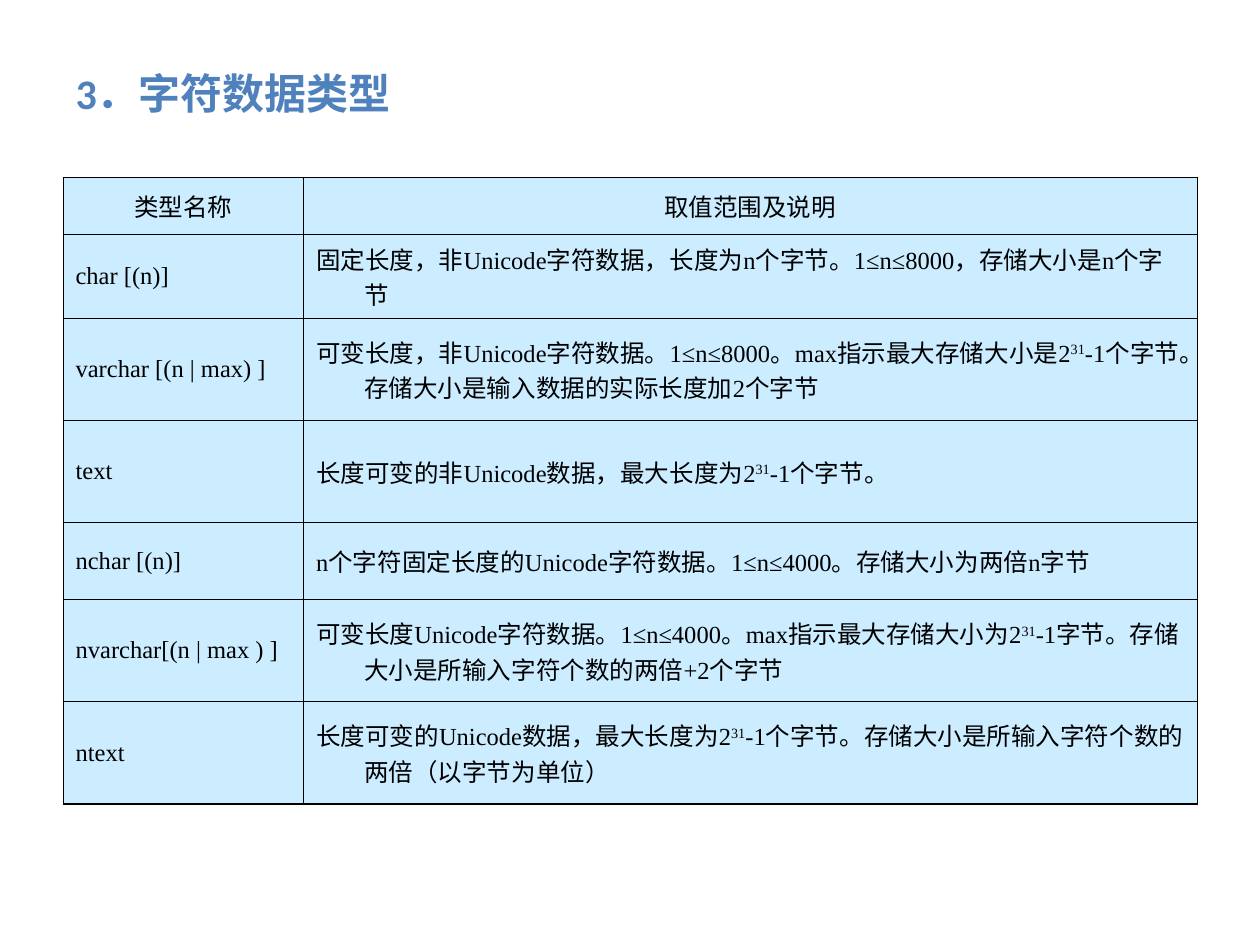
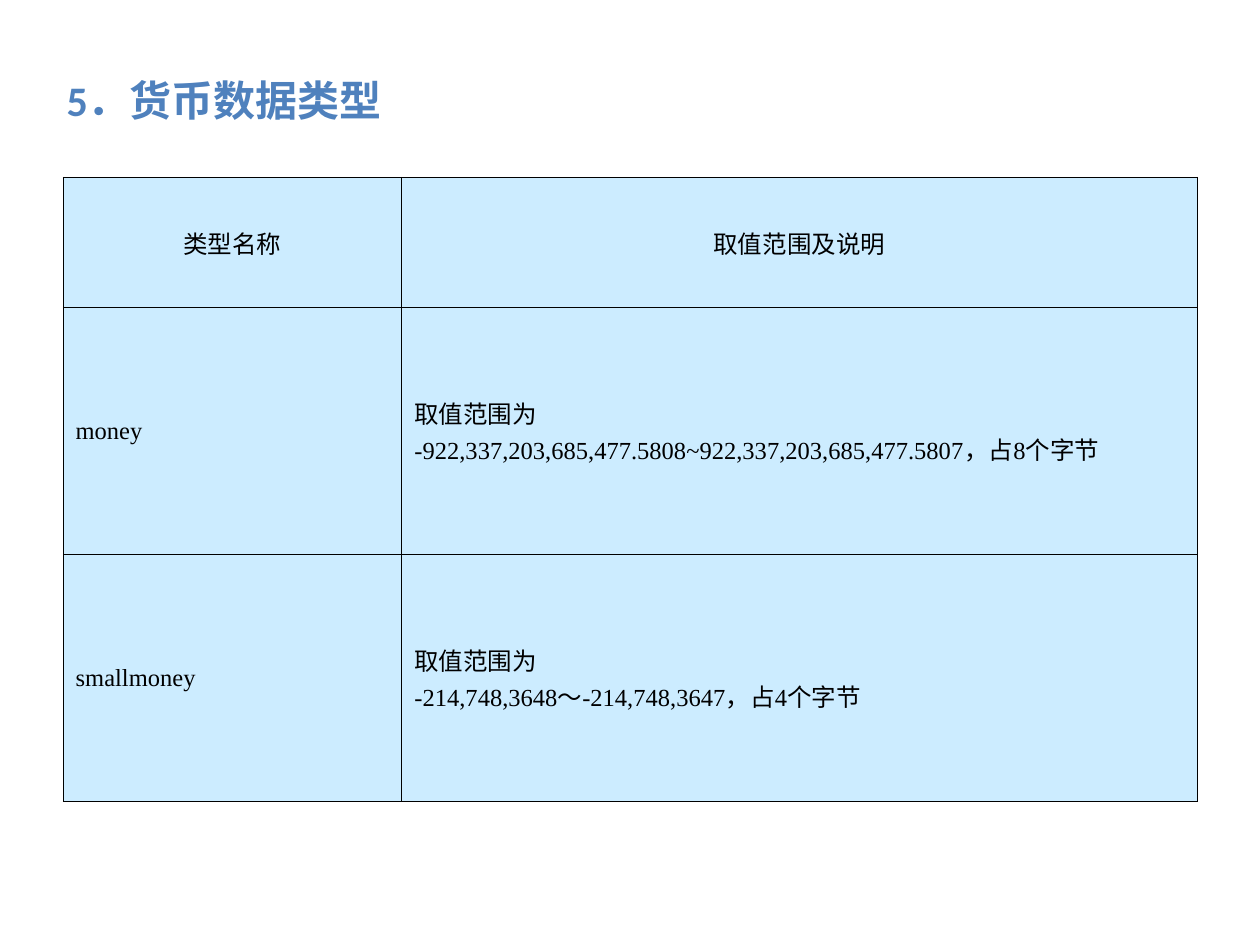
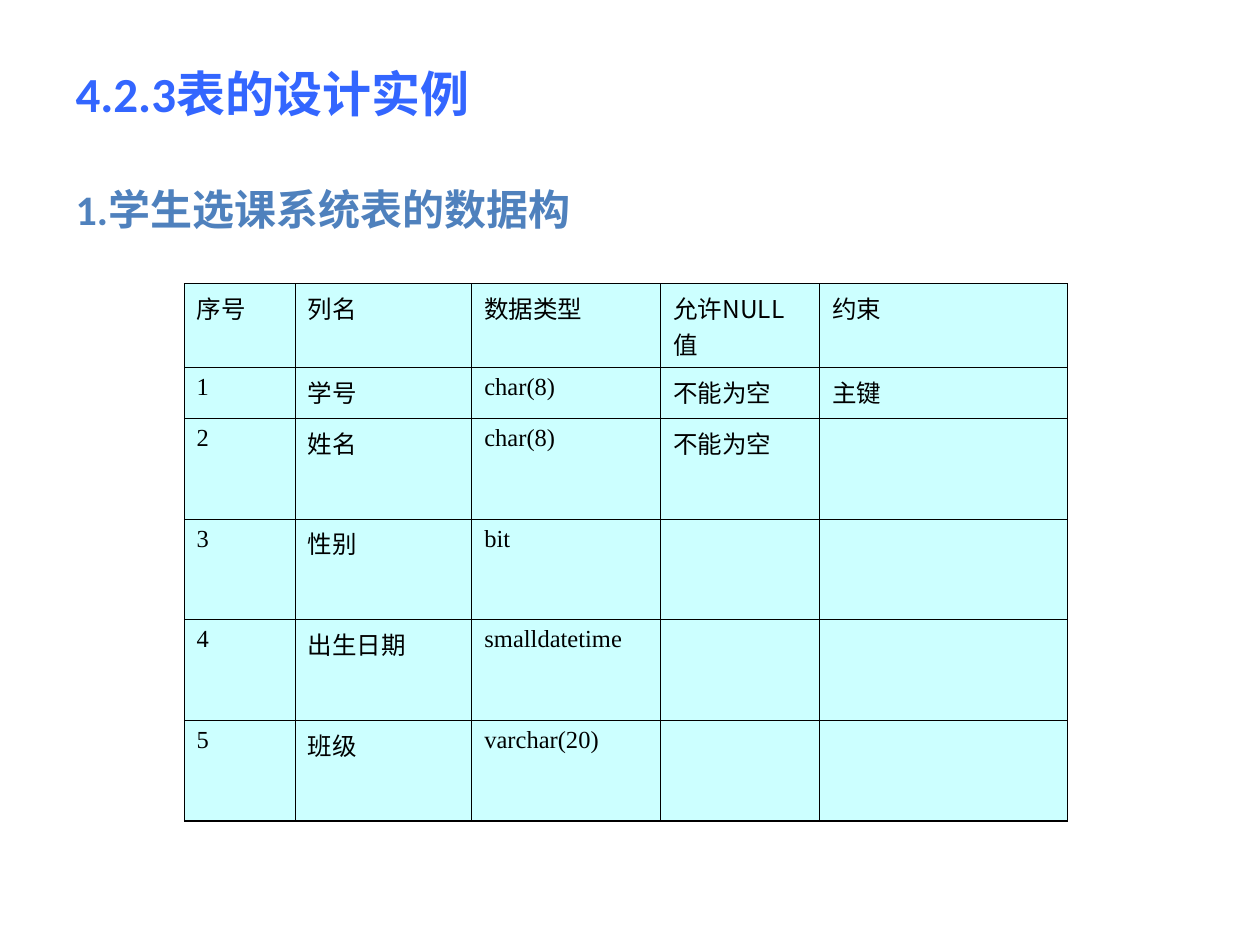
from lxml.etree import SubElement
from pptx import Presentation
from pptx.dml.color import RGBColor
from pptx.enum.text import MSO_ANCHOR, MSO_AUTO_SIZE, PP_ALIGN
from pptx.oxml.ns import qn
from pptx.util import Cm, Pt

BLACK = RGBColor(0x00, 0x00, 0x00)
STEEL = RGBColor(0x4F, 0x81, 0xBD)
ROYAL = RGBColor(0x33, 0x66, 0xFF)
SKY = RGBColor(0xCC, 0xEC, 0xFF)
CYAN = RGBColor(0xCC, 0xFF, 0xFF)

HEAD = "Calibri"
HAN = "Noto Sans CJK SC"
SERIF = "Times New Roman"
HANG = 0.97
LEFT = 1.27
TOP = 3.58
INNER, SIDE, EDGE = 0.45, 0.34, 0.96

NAMES = ("类型名称", "取值范围及说明")
CHARS = [
    NAMES,
    ("char [(n)]",
     "固定长度，非Unicode字符数据，长度为n个字节。1≤n≤8000，存储大小是n个字节"),
    ("varchar [(n | max) ]",
     "可变长度，非Unicode字符数据。1≤n≤8000。max指示最大存储大小是2^31^-1个字节。"
     "存储大小是输入数据的实际长度加2个字节"),
    ("text", "长度可变的非Unicode数据，最大长度为2^31^-1个字节。"),
    ("nchar [(n)]",
     "n个字符固定长度的Unicode字符数据。1≤n≤4000。存储大小为两倍n字节"),
    ("nvarchar[(n | max ) ]",
     "可变长度Unicode字符数据。1≤n≤4000。max指示最大存储大小为2^31^-1字节。"
     "存储大小是所输入字符个数的两倍+2个字节"),
    ("ntext",
     "长度可变的Unicode数据，最大长度为2^31^-1个字节。"
     "存储大小是所输入字符个数的两倍（以字节为单位）"),
]
MONEY = [
    NAMES,
    ("money",
     "取值范围为\n-922,337,203,685,477.5808~922,337,203,685,477.5807，占8个字节"),
    ("smallmoney", "取值范围为\n-214,748,3648～-214,748,3647，占4个字节"),
]
FIELDS = [
    ("序号", "列名", "数据类型", "允许NULL值", "约束"),
    ("1", "学号", "char(8)", "不能为空", "主键"),
    ("2", "姓名", "char(8)", "不能为空", ""),
    ("3", "性别", "bit", "", ""),
    ("4", "出生日期", "smalldatetime", "", ""),
    ("5", "班级", "varchar(20)", "", ""),
]


def write(frame, text, size=14, font=SERIF, color=BLACK, bold=False,
          align=PP_ALIGN.LEFT, hang=0):
    for pos, line in enumerate(text.split("\n")):
        para = frame.add_paragraph() if pos else frame.paragraphs[0]
        para.alignment = align
        para.space_before = Pt(0)
        props = para._p.get_or_add_pPr()
        props.set("marL", str(Cm(hang)))
        props.set("indent", str(-Cm(hang)))
        SubElement(props, qn("a:buNone"))
        for part, piece in enumerate(line.split("^")):
            run = para.add_run()
            run.text = piece
            run.font.size = Pt(size)
            run.font.bold = bold
            run.font.color.rgb = color
            run.font.name = font
            style = run._r.get_or_add_rPr()
            SubElement(style, qn("a:ea"), typeface=HAN)
            if part % 2:
                style.set("baseline", "30000")


def place(shape, left, top, width, height):
    shape.left, shape.top = Cm(left), Cm(top)
    shape.width, shape.height = Cm(width), Cm(height)
    shape.text_frame.auto_size = MSO_AUTO_SIZE.NONE


def add_page(deck, layout, title, left=LEFT, top=0.76, size=24, color=STEEL):
    page = deck.slides.add_slide(deck.slide_layouts.get_by_name(layout))
    shape = page.shapes.title
    place(shape, left, top, 22.86, 2.21)
    shape.text_frame.vertical_anchor = MSO_ANCHOR.MIDDLE
    write(shape.text_frame, title, size=size, font=HEAD, color=color, bold=True)
    return page


def add_rule(cell, side, width):
    line = SubElement(cell._tc.get_or_add_tcPr(), qn(f"a:ln{side}"),
                      w=str(Pt(width)))
    fill = SubElement(line, qn("a:solidFill"))
    SubElement(fill, qn("a:srgbClr"), val=str(BLACK))


def add_grid(page, data, left, top, cols, rows, fill,
             anchor=MSO_ANCHOR.MIDDLE, align=PP_ALIGN.CENTER, hang=HANG):
    grid = page.shapes.add_table(len(rows), len(cols), Cm(left), Cm(top),
                                 Cm(sum(cols)), Cm(sum(rows))).table
    grid.first_row = grid.horz_banding = False
    for col, width in zip(grid.columns, cols):
        col.width = Cm(width)
    for row, height in zip(grid.rows, rows):
        row.height = Cm(height)
    for y, line in enumerate(data):
        for x, text in enumerate(line):
            cell = grid.cell(y, x)
            add_rule(cell, "L", INNER if x else SIDE)
            add_rule(cell, "R", SIDE if x == len(cols) - 1 else INNER)
            add_rule(cell, "T", INNER if y else EDGE)
            add_rule(cell, "B", EDGE if y == len(rows) - 1 else INNER)
            cell.fill.solid()
            cell.fill.fore_color.rgb = fill
            cell.vertical_anchor = anchor
            if text:
                write(cell.text_frame, text, font=SERIF if y else HAN, hang=hang,
                      align=PP_ALIGN.LEFT if y else align)


def main():
    deck = Presentation()
    deck.slide_width, deck.slide_height = Cm(25.4), Cm(19.05)

    page = add_page(deck, "Title Only", "3．字符数据类型")
    add_grid(page, CHARS, LEFT, TOP, [4.85, 18.01],
             [1.14, 1.63, 2.06, 2.06, 1.55, 2.06, 2.06], SKY)

    page = add_page(deck, "Title Only", "5．货币数据类型", left=1.09, top=0.91)
    add_grid(page, MONEY, LEFT, TOP, [6.83, 16.03], [2.62, 4.98, 4.98], SKY)

    page = add_page(deck, "Title and Content", "4.2.3表的设计实例",
                    size=28, color=ROYAL)
    body = page.placeholders[1]
    place(body, LEFT, TOP, 11.23, 1.35)
    write(body.text_frame, "1.学生选课系统表的数据构", size=24, font=HEAD,
          color=STEEL, bold=True, hang=HANG)
    add_grid(page, FIELDS, 3.71, 5.72, [2.24, 3.56, 3.81, 3.2, 5],
             [1.45, 1.02] + [2.03] * 4, CYAN,
             anchor=MSO_ANCHOR.TOP, align=PP_ALIGN.LEFT, hang=0)

    deck.save("out.pptx")


if __name__ == "__main__":
    main()
